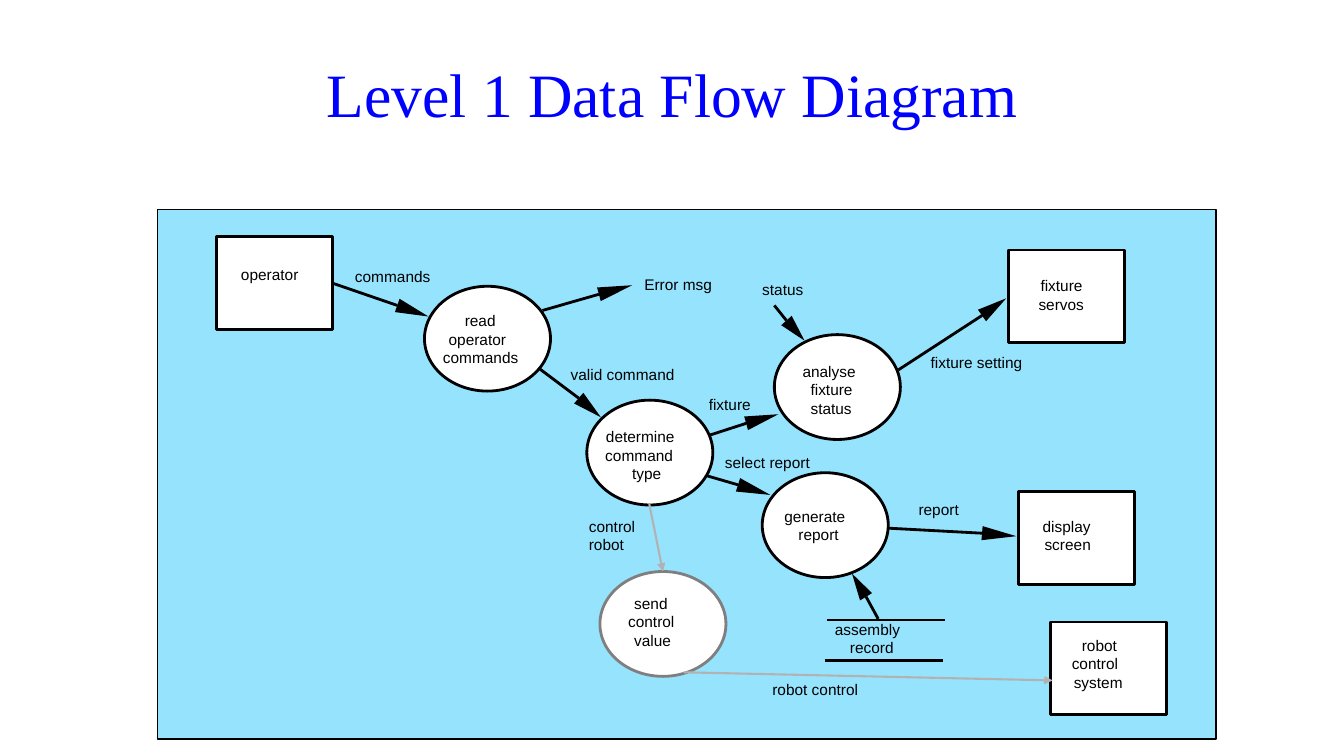
import math
from dataclasses import dataclass

from lxml import etree
from pptx import Presentation, util as u
from pptx.dml import color
from pptx.enum import shapes, text
from pptx.oxml import ns


@dataclass(frozen=True)
class Theme:
    ink: str = "000000"
    paper: str = "FFFFFF"
    panel: str = "96E3FE"
    title: str = "0000FF"
    muted_outline: str = "7F7F7F"
    muted_flow: str = "B2B2B2"
    title_font: str = "Times New Roman"
    label_font: str = "Arial"
    title_size: float = 44
    label_size: float = 11


theme = Theme()
RECT = shapes.MSO_SHAPE.RECTANGLE
OVAL = shapes.MSO_SHAPE.OVAL


def write(frame, lines, font=theme.label_font, size=theme.label_size, ink=theme.ink,
          align=text.PP_ALIGN.LEFT, anchor=text.MSO_ANCHOR.TOP, top=0):
    frame.word_wrap = True
    frame.vertical_anchor = anchor
    frame.margin_left = frame.margin_right = frame.margin_bottom = 0
    frame.margin_top = u.Inches(top)
    for index, (words, indent) in enumerate(lines):
        para = frame.add_paragraph() if index else frame.paragraphs[0]
        para.alignment = align
        if indent > 0:
            para._p.get_or_add_pPr().set("marL", str(u.Inches(indent)))
        span = para.add_run()
        span.text = words
        span.font.name = font
        span.font.size = u.Pt(size)
        span.font.color.rgb = color.RGBColor.from_string(ink)


def draw_line(start, end, ink=theme.ink, width=2, arrow=False):
    line = slide.shapes.add_connector(
        shapes.MSO_CONNECTOR.STRAIGHT, *[u.Inches(value) for value in (*start, *end)])
    line.line.color.rgb = color.RGBColor.from_string(ink)
    line.line.width = u.Pt(width)
    if arrow:
        etree.SubElement(line.line._get_or_add_ln(), ns.qn("a:tailEnd"), type="triangle")
    etree.SubElement(line._element.spPr, ns.qn("a:effectLst"))
    return line


deck = Presentation()
deck.slide_width = u.Inches(13.33)
deck.slide_height = u.Inches(7.5)
slide = deck.slides.add_slide(deck.slide_layouts[5])

title = slide.shapes.title
title.left, title.top, title.width, title.height = [u.Inches(v) for v in (0.67, 0.3, 12, 1.25)]
write(title.text_frame, [("Level 1 Data Flow Diagram", 0)], font=theme.title_font,
      size=theme.title_size, ink=theme.title, align=text.PP_ALIGN.CENTER,
      anchor=text.MSO_ANCHOR.MIDDLE)

panel = slide.shapes.add_shape(RECT, *[u.Inches(v) for v in (1.56, 2.08, 10.5, 5.25)])
panel.shadow.inherit = False
panel.fill.solid()
panel.fill.fore_color.rgb = color.RGBColor.from_string(theme.panel)
panel.line.color.rgb = color.RGBColor.from_string(theme.ink)
panel.line.width = u.Pt(1)

node_sizes = {RECT: (1.15, 0.92), OVAL: (1.25, 1.04)}
text_insets = {RECT: 0, OVAL: (1 - math.sqrt(0.5)) / 2}
nodes = [
    ("operator", RECT, 2.15, 2.35, 2.63, [("operator", 2.39)]),
    ("read", OVAL, 4.21, 2.84, 3.09, [("read", 4.61), ("operator", 4.45), ("commands", 4.33)]),
    ("determine", OVAL, 5.82, 3.97, 4.24, [("determine", 6.01), ("command", 5.98), ("type", 6.27)]),
    ("analyse", OVAL, 7.68, 3.32, 3.59, [("analyse", 7.96), ("fixture", 8.04), ("status", 8.04)]),
    ("generate", OVAL, 7.56, 4.69, 5.03, [("generate", 7.78), ("report", 7.92)]),
    ("send", OVAL, 5.95, 5.67, 5.89, [("send", 6.29), ("control", 6.23), ("value", 6.29)]),
    ("servos", RECT, 10, 2.48, 2.74, [("fixture", 10.32), ("servos", 10.3)]),
    ("display", RECT, 10.1, 4.88, 5.13, [("display", 10.34), ("screen", 10.36)]),
    ("robot", RECT, 10.42, 6.17, 6.31, [("robot", 10.73), ("control", 10.63), ("system", 10.65)]),
]
node_shapes = {}
for name, kind, left, top, text_top, lines in nodes:
    width, height = node_sizes[kind]
    node = slide.shapes.add_shape(kind, *[u.Inches(v) for v in (left, top, width, height)])
    node.shadow.inherit = False
    node.fill.solid()
    node.fill.fore_color.rgb = color.RGBColor.from_string(theme.paper)
    outline = theme.muted_outline if name == "send" else theme.ink
    node.line.color.rgb = color.RGBColor.from_string(outline)
    node.line.width = u.Pt(2)
    text_left = left + width * text_insets[kind]
    write(node.text_frame, [(words, x - text_left) for words, x in lines],
          top=text_top - top - height * text_insets[kind])
    node_shapes[name] = node

flow_labels = [
    (3.52, 2.65, [("commands", 0)]),
    (6.39, 2.73, [("Error msg", 0)]),
    (7.56, 2.78, [("status", 0)]),
    (9.23, 3.5, [("fixture setting", 0)]),
    (5.66, 3.62, [("valid command", 0)]),
    (7.03, 3.92, [("fixture", 0)]),
    (7.19, 4.49, [("select report", 0)]),
    (9.11, 4.96, [("report", 0)]),
    (5.84, 5.13, [("control", 0), ("robot", 0)]),
    (8.28, 6.15, [("assembly", 0), ("record", 0.15)]),
    (7.66, 6.75, [("robot control", 0)]),
]
for left, top, lines in flow_labels:
    box = slide.shapes.add_textbox(
        *[u.Inches(v) for v in (left, top, 1.15, 0.18 * len(lines))])
    write(box.text_frame, lines)

for left, top in [(8.2, 6.15), (8.18, 6.55)]:
    draw_line((left, top), (left + 1.17, top))

HEAD_HALF_WIDTH = 0.07
flows = [
    ("operator", (3.3, 2.83), (3.94, 3.03), (4.25, 3.14)),
    (None, (5.38, 3.08), (5.94, 2.92), (6.27, 2.83)),
    (None, (5.34, 3.65), (5.74, 3.95), (5.96, 4.14)),
    (None, (7.03, 4.32), (7.4, 4.2), (7.72, 4.11)),
    (None, (7.01, 4.72), (7.32, 4.81), (7.64, 4.91)),
    (None, (7.68, 3.03), (7.8, 3.18), (7.98, 3.38)),
    (None, (8.91, 3.67), (9.74, 3.13), (9.98, 2.96)),
    (None, (8.81, 5.24), (9.74, 5.29), (10.08, 5.32)),
    (None, (8.71, 6.14), (8.59, 5.92), (8.45, 5.69)),
]
for source, start, base, tip in flows:
    line = draw_line(start, base)
    if source:
        line.begin_connect(node_shapes[source], 3)
    run, rise = tip[0] - base[0], tip[1] - base[1]
    scale = HEAD_HALF_WIDTH / math.hypot(run, rise)
    corners = [(u.Inches(base[0] - side * rise * scale), u.Inches(base[1] + side * run * scale))
               for side in (1, -1)]
    builder = slide.shapes.build_freeform(u.Inches(tip[0]), u.Inches(tip[1]))
    builder.add_line_segments(corners, close=True)
    head = builder.convert_to_shape()
    head.shadow.inherit = False
    head.fill.solid()
    head.fill.fore_color.rgb = color.RGBColor.from_string(theme.ink)
    head.line.fill.background()

draw_line((6.78, 6.67), (10.44, 6.75), ink=theme.muted_flow, width=1.5, arrow=True)
control_flow = draw_line((6.44, 5), (6.55, 5.67), ink=theme.muted_flow, width=1.5, arrow=True)
control_flow.end_connect(node_shapes["send"], 0)

deck.save("out.pptx")
